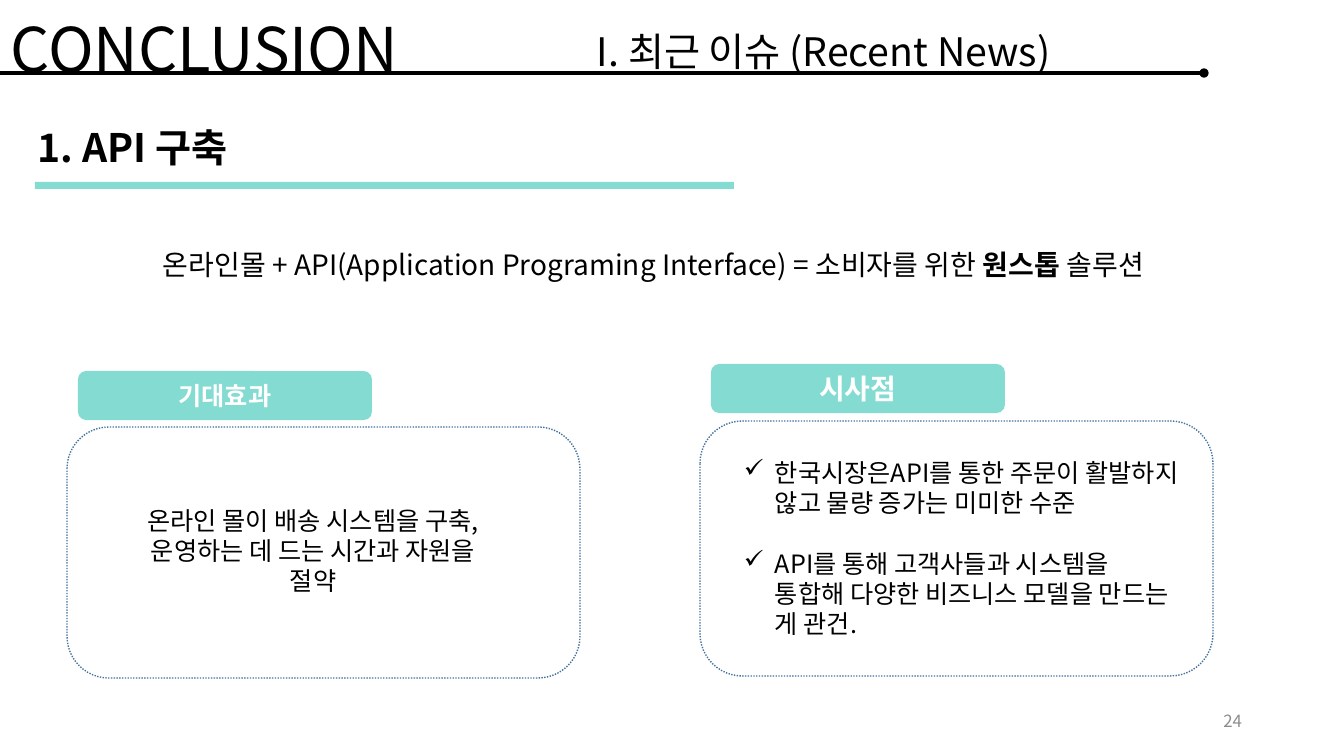
"""Build the API conclusion slide with its expected effects and implications."""
from lxml import etree
from pptx import Presentation
from pptx import util as u
from pptx.dml import color
from pptx.enum import dml, shapes, text
from pptx.oxml import ns

PX = 914400 / 100.8
FONT = "Noto Sans CJK KR"
COLORS = {"ink": "000000", "paper": "FFFFFF", "mint": "84DBD2", "outline": "43739E", "page": "8C8C8C"}
LEFT, CENTER, RIGHT = text.PP_ALIGN.LEFT, text.PP_ALIGN.CENTER, text.PP_ALIGN.RIGHT
GROW, FIXED = text.MSO_AUTO_SIZE.SHAPE_TO_FIT_TEXT, text.MSO_AUTO_SIZE.NONE
TOP, MIDDLE = text.MSO_ANCHOR.TOP, text.MSO_ANCHOR.MIDDLE
RECT, ROUND = shapes.MSO_SHAPE.RECTANGLE, shapes.MSO_SHAPE.ROUNDED_RECTANGLE

VEIL = (0, 108, 1344, 655)
UNDERLINE = (35, 182, 699, 7)
HEADER_RULE = (-3, 73, 1204, 73)
BULLET_INDENT = 31

CAPTIONS = [
    ((153, 243, 1116, 44),
     [[("온라인몰 + API(Application Programing Interface) = 소비자를 위한 ", False),
       ("원스톱", True), (" 솔루션", False)]], {"size": 20}),
    ((28, 118, 745, 57), [[("1. API 구축", True)]], {"size": 28}),
    ((1, 6, 483, 85), [[("CONCLUSION", False)]], {"size": 44}),
    ((587, 22, 617, 57), [[("I. 최근 이슈 (Recent News)", False)]], {"size": 28}),
    ((950, 701, 302, 40), [[("24", False)]],
     {"size": 12, "ink": "page", "align": RIGHT, "anchor": MIDDLE, "fit": FIXED}),
]
PANELS = [
    {"frame": (67, 427, 513, 251), "tag": (78, 371, 294, 49), "title": "기대효과", "title_size": 18,
     "body": (128, 500, 370, 102), "style": {"size": 18, "align": CENTER},
     "points": ["온라인 몰이 배송 시스템을 구축, 운영하는 데 드는 시간과 자원을 절약"]},
    {"frame": (700, 421, 513, 255), "tag": (711, 364, 294, 49), "title": "시사점", "title_size": 20,
     "body": (734, 452, 457, 194), "style": {"size": 18, "bullet": "✓", "gap": 22},
     "points": ["한국시장은API를 통한 주문이 활발하지 않고 물량 증가는 미미한 수준",
                "API를 통해 고객사들과 시스템을 통합해 다양한 비즈니스 모델을 만드는 게 관건."]},
]


def emu(*lengths):
    return [u.Emu(round(length * PX)) for length in lengths]


def rgb(name):
    return color.RGBColor.from_string(COLORS[name])


def write(frame, paragraphs, size, ink="ink", align=LEFT, anchor=TOP, fit=GROW, bullet=None, gap=0):
    for name, value in {"word_wrap": True, "auto_size": fit, "vertical_anchor": anchor}.items():
        setattr(frame, name, value)
    for index, runs in enumerate(paragraphs):
        paragraph = frame.add_paragraph() if index else frame.paragraphs[0]
        paragraph.alignment = align
        if index and gap:
            paragraph.space_before = u.Pt(gap)
        if bullet:
            props = paragraph._p.get_or_add_pPr()
            indent = emu(BULLET_INDENT)[0]
            props.set("marL", str(indent))
            props.set("indent", str(-indent))
            etree.SubElement(props, ns.qn("a:buChar"), char=bullet)
        for words, bold in runs:
            run = paragraph.add_run()
            run.text = words
            for name, value in {"name": FONT, "size": u.Pt(size), "bold": bold}.items():
                setattr(run.font, name, value)
            run.font.color.rgb = rgb(ink)
            etree.SubElement(run._r.get_or_add_rPr(), ns.qn("a:ea"), typeface=FONT)


def add_block(slide, preset, box, fill=None, outline=None):
    block = slide.shapes.add_shape(preset, *emu(*box))
    block.shadow.inherit = False
    if fill:
        block.fill.solid()
        block.fill.fore_color.rgb = rgb(fill)
    else:
        block.fill.background()
    if outline:
        block.line.color.rgb = rgb(outline)
        block.line.width = u.Pt(1)
        block.line.dash_style = dml.MSO_LINE.ROUND_DOT
    else:
        block.line.fill.background()
    return block


def add_caption(slide, box, paragraphs, style):
    write(slide.shapes.add_textbox(*emu(*box)).text_frame, paragraphs, **style)


def add_header_rule(slide):
    rule = slide.shapes.add_connector(shapes.MSO_CONNECTOR.STRAIGHT, *emu(*HEADER_RULE))
    rule.line.color.rgb = rgb("ink")
    rule.line.width = u.Pt(2.25)
    etree.SubElement(rule.line._get_or_add_ln(), ns.qn("a:tailEnd"), type="oval")
    etree.SubElement(rule._element.spPr, ns.qn("a:effectLst"))


def main():
    deck = Presentation()
    deck.slide_width, deck.slide_height = emu(1344, 756)
    slide = deck.slides.add_slide(deck.slide_layouts[6])

    veil = add_block(slide, RECT, VEIL, fill="paper")
    veil_color = veil.fill._xPr.find(ns.qn("a:solidFill"))[0]
    etree.SubElement(veil_color, ns.qn("a:alpha"), val="67000")
    add_block(slide, RECT, UNDERLINE, fill="mint")

    for panel in PANELS:
        add_block(slide, ROUND, panel["frame"], outline="outline")
        add_caption(slide, panel["body"], [[(point, False)] for point in panel["points"]], panel["style"])
        tag = add_block(slide, ROUND, panel["tag"], fill="mint")
        write(tag.text_frame, [[(panel["title"], True)]], panel["title_size"],
              ink="paper", align=CENTER, anchor=MIDDLE, fit=FIXED)

    add_header_rule(slide)
    for box, paragraphs, style in CAPTIONS:
        add_caption(slide, box, paragraphs, style)
    deck.save("out.pptx")


if __name__ == "__main__":
    main()
